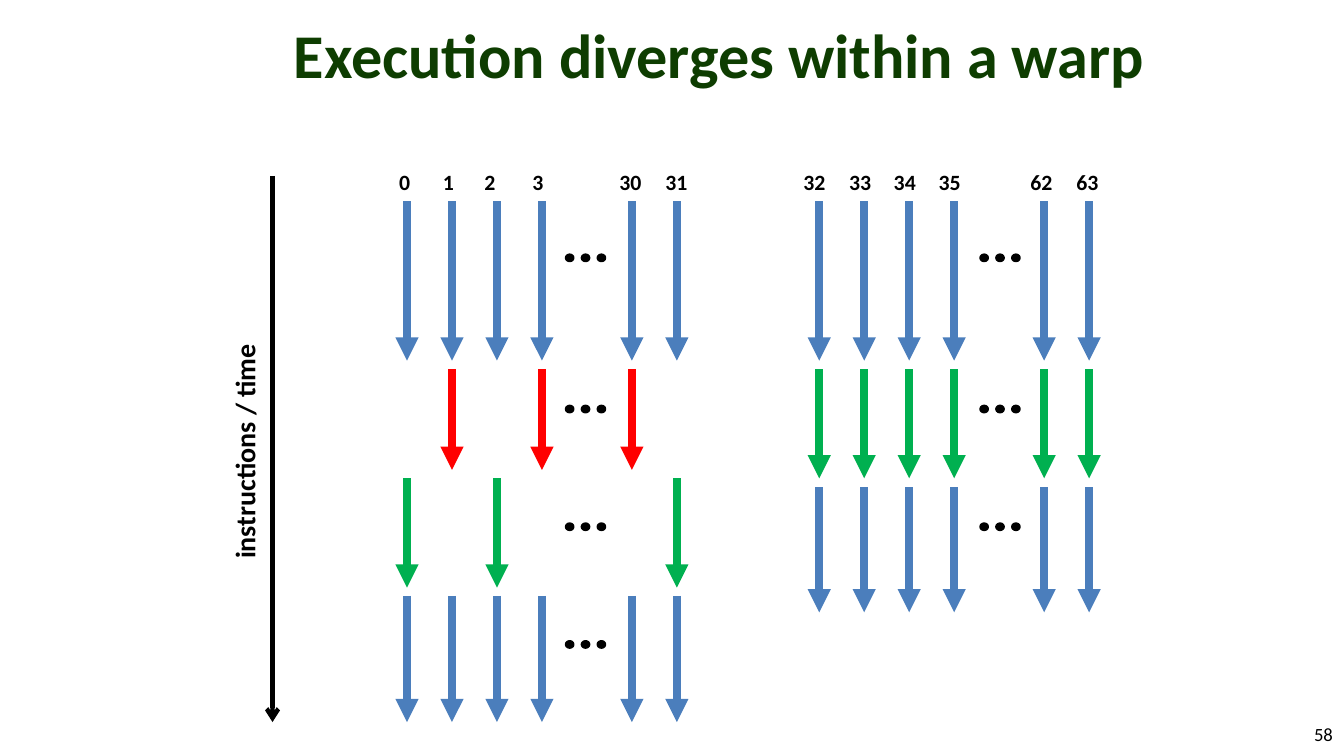
from lxml import etree
from pptx import Presentation
from pptx.dml.color import RGBColor
from pptx.enum.shapes import MSO_CONNECTOR, MSO_SHAPE
from pptx.enum.text import MSO_ANCHOR, PP_ALIGN
from pptx.oxml.ns import qn
from pptx.util import Cm, Pt

STRAIGHT = MSO_CONNECTOR.STRAIGHT
OVAL = MSO_SHAPE.OVAL
LEFT, CENTER, RIGHT = PP_ALIGN.LEFT, PP_ALIGN.CENTER, PP_ALIGN.RIGHT
TOP, MIDDLE = MSO_ANCHOR.TOP, MSO_ANCHOR.MIDDLE

COLORS = {
    "title": "0E3D01",
    "text": "000000",
    "common": "4B7EBC",
    "if": "FF0000",
    "else": "00B050",
}
FONT = "Calibri"
TITLE_ONLY = 5
LANE_STEP = 1.02
DOT_STEP = 0.36
ALL_SLOTS = (0, 1, 2, 3, 5, 6)

WARPS = [
    {
        "x": 9.23,
        "dots_x": 13.28,
        "labels": {"0": 9.18, "1": 10.17, "2": 11.11, "3": 12.2, "30": 14.3, "31": 15.34},
        "phases": [
            ("common", 4.57, 8.18, ALL_SLOTS, 5.85),
            ("if", 8.38, 10.66, (1, 3, 5), 9.28),
            ("else", 10.85, 13.33, (0, 2, 6), 11.95),
            ("common", 13.52, 16.38, ALL_SLOTS, 14.62),
        ],
    },
    {
        "x": 18.58,
        "dots_x": 22.68,
        "labels": {"32": 18.47, "33": 19.51, "34": 20.52, "35": 21.54, "62": 23.62, "63": 24.66},
        "phases": [
            ("common", 4.57, 8.18, ALL_SLOTS, 5.85),
            ("else", 8.38, 10.85, ALL_SLOTS, 9.28),
            ("common", 11.05, 13.89, ALL_SLOTS, 11.95),
        ],
    },
]


class WarpSlide:
    def __init__(self, slide):
        self.s = slide

    def color(self, name):
        return RGBColor.from_string(COLORS[name])

    def add_text(self, tf, text, size, color="text", bold=True, align=LEFT, anchor=TOP):
        tf.vertical_anchor = anchor
        p = tf.paragraphs[0]
        p.alignment = align
        r = p.add_run()
        r.text = text
        r.font.name = FONT
        r.font.size = Pt(size)
        r.font.bold = bold
        r.font.color.rgb = self.color(color)

    def title(self, text, x, y, w, h):
        sp = self.s.shapes.title
        sp.left, sp.top, sp.width, sp.height = Cm(x), Cm(y), Cm(w), Cm(h)
        self.add_text(sp.text_frame, text, 40, "title", align=CENTER, anchor=MIDDLE)

    def text(self, text, x, y, w, h, size, wrap=True, rotation=0, **style):
        sp = self.s.shapes.add_textbox(Cm(x), Cm(y), Cm(w), Cm(h))
        sp.rotation = rotation
        sp.text_frame.word_wrap = wrap
        self.add_text(sp.text_frame, text, size, **style)

    def arrow(self, x, top, bottom, color, width=5, head="triangle"):
        line = self.s.shapes.add_connector(STRAIGHT, Cm(x), Cm(top), Cm(x), Cm(bottom))
        line.line.color.rgb = self.color(color)
        line.line.width = Pt(width)
        sp_pr = line._element.spPr
        etree.SubElement(sp_pr.find(qn("a:ln")), qn("a:tailEnd"), type=head)
        etree.SubElement(sp_pr, qn("a:effectLst"))

    def dots(self, center_x, center_y):
        w, h = 0.15, 0.13
        for i in (-1, 0, 1):
            x = center_x + i * DOT_STEP - w / 2
            dot = self.s.shapes.add_shape(OVAL, Cm(x), Cm(center_y - h / 2), Cm(w), Cm(h))
            dot.shadow.inherit = False
            dot.fill.solid()
            dot.fill.fore_color.rgb = self.color("text")
            dot.line.color.rgb = self.color("text")
            dot.line.width = Pt(2)

    def warp(self, x, dots_x, labels, phases):
        for label, center in labels.items():
            w = 0.79 if len(label) == 1 else 1.07
            self.text(label, center - w / 2, 3.71, w, 0.86, 14, wrap=False, align=CENTER)
        for color, top, bottom, slots, dots_y in phases:
            for slot in slots:
                self.arrow(x + slot * LANE_STEP, top, bottom, color)
            self.dots(dots_x, dots_y)


def main():
    prs = Presentation()
    prs.slide_width, prs.slide_height = Cm(30.48), Cm(17.15)
    slide = WarpSlide(prs.slides.add_slide(prs.slide_layouts[TITLE_ONLY]))
    slide.title("Execution diverges within a warp", 2.97, 0, 26.67, 2.44)
    slide.text("58", 29.26, 16.2, 1.22, 0.91, 12, bold=False, align=RIGHT, anchor=MIDDLE)
    slide.arrow(6.18, 3.99, 16.38, "text", 2.75, "arrow")
    slide.text("instructions / time", 1.63, 8.51, 7.82, 1.02, 18, rotation=270)
    for warp in WARPS:
        slide.warp(**warp)
    prs.save("out.pptx")


if __name__ == "__main__":
    main()
